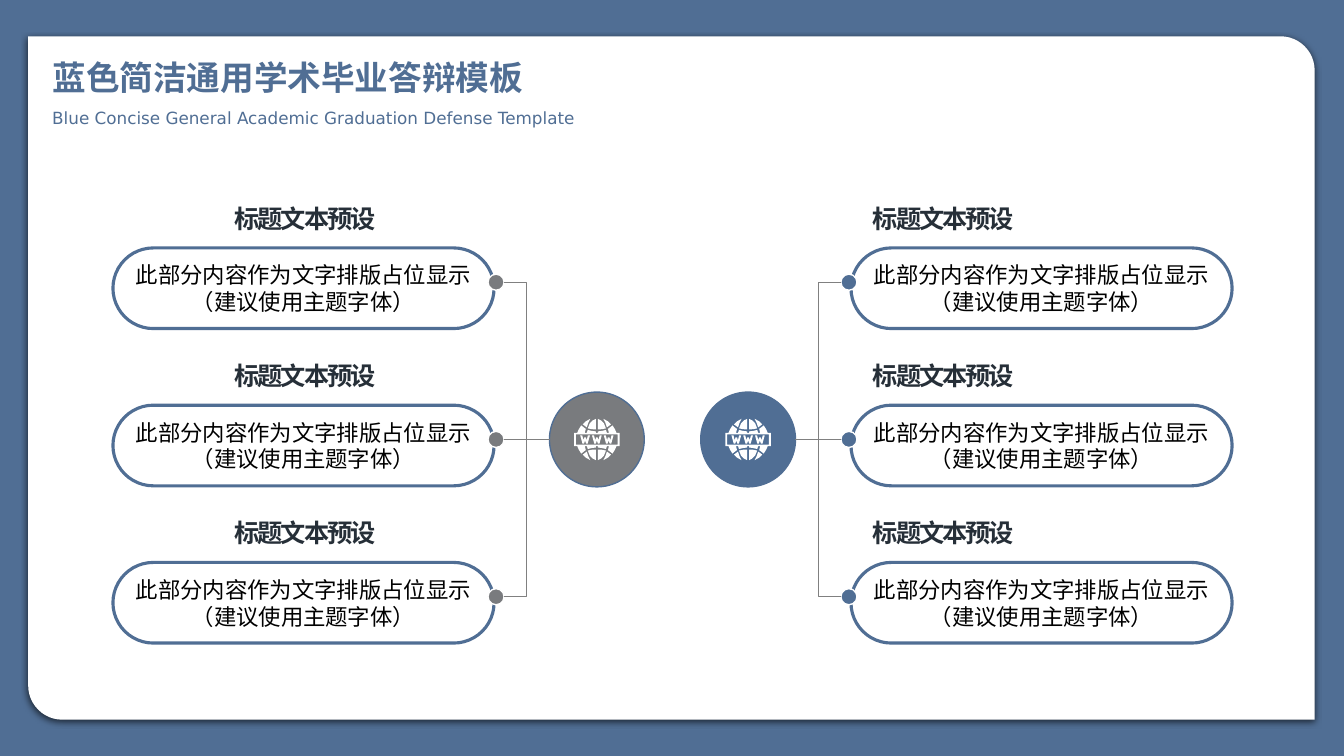
"""Build a slide with two hubs, each linked to three captioned pills."""
from dataclasses import dataclass
from typing import Any

from lxml.etree import SubElement
from pptx import Presentation
from pptx.dml.color import RGBColor
from pptx.enum.shapes import MSO_CONNECTOR as Link, MSO_SHAPE as Preset
from pptx.enum.text import MSO_ANCHOR as Anchor, MSO_AUTO_SIZE as AutoSize, PP_ALIGN as Align
from pptx.oxml.ns import qn
from pptx.util import Inches, Pt


@dataclass(frozen=True)
class Theme:
    """Colours, font and type sizes."""
    blue: str = "506E94"
    gray: str = "797B7E"
    wire: str = "808080"
    white: str = "FFFFFF"
    black: str = "000000"
    ink: str = "262F38"
    font: str = "DejaVu Sans"
    title: int = 24
    heading: int = 18
    body: int = 16
    subtitle: int = 12


@dataclass(frozen=True)
class Side:
    """One half of the diagram, mirrored about the axis."""
    direction: int
    color: str

    def x(self, offset: float) -> float:
        """Return the position at a distance from the axis."""
        return AXIS + self.direction * offset

    def left(self, offset: float, width: float) -> float:
        """Return the left edge of a box that starts at a distance from the axis."""
        return self.x(offset) - (width if self.direction < 0 else 0)


@dataclass(frozen=True)
class Box:
    """A rectangle in inches."""
    left: float
    top: float
    width: float
    height: float

    def lengths(self) -> list:
        """Return the four measures as lengths."""
        return [Inches(value) for value in (self.left, self.top, self.width, self.height)]


THEME = Theme()
AXIS, HUB_Y, ROW_GAP = 6.67, 4.36, 1.56
HUB_OFFSET, HUB_SIZE = 0.75, 0.94
DOT_OFFSET, DOT_SIZE = 1.75, 0.16
SIDES = (Side(1, THEME.blue), Side(-1, THEME.gray))
ROWS = [HUB_Y + step * ROW_GAP for step in (-1, 0, 1)]
HEADING = "标题文本预设"
BODY = ("此部分内容作为文字排版占位显示", "（建议使用主题字体）")
GLOBE_QUARTER = (
    ((1, 10), (5, 10.2), (9, 11), (7, 16), (4, 19), (1, 20.5)),
    ((10, 12), (14, 15), (11, 18), (6.5, 20.5), (8.5, 16.5)),
    ((1, 6.5), (10, 6.5), (9, 9.5), (5, 8.5), (1, 8)),
    ((12, 6.5), (19.5, 6.5), (18, 10), (15.5, 14), (11, 10.5)),
)
LETTER_HALF = ((0.8, -2), (1.6, 0.8), (2.8, -4), (4.8, -4), (2.6, 4), (1, 4), (0, 1))
LETTER_CENTERS = (-11.7, 0, 11.7)


def apply(target: Any, formats: dict[str, Any]) -> None:
    """Set each format value on the target."""
    for name, value in formats.items():
        setattr(target, name, value)


def rgb(color: str) -> RGBColor:
    """Return a colour object."""
    return RGBColor.from_string(color)


def write(shape: Any, lines: tuple[str, ...], size: int, color: str, bold: bool = False,
          frame: dict[str, Any] | None = None, paragraphs: dict[str, Any] | None = None) -> None:
    """Fill a shape with formatted lines."""
    text_frame = shape.text_frame
    apply(text_frame, {"word_wrap": True, "auto_size": AutoSize.NONE} | (frame or {}))
    text_frame.text = "\n".join(lines)
    for paragraph in text_frame.paragraphs:
        apply(paragraph, {"alignment": Align.LEFT} | (paragraphs or {}))
        for run in paragraph.runs:
            apply(run.font, {"name": THEME.font, "size": Pt(size), "bold": bold})
            run.font.color.rgb = rgb(color)


def draw_shape(shapes: Any, preset: Any, box: Box, fill: str,
               line: str | None = None, weight: float = 1) -> Any:
    """Draw a preset shape with a flat fill."""
    shape = shapes.add_shape(preset, *box.lengths())
    shape.shadow.inherit = False
    shape.fill.solid()
    shape.fill.fore_color.rgb = rgb(fill)
    if line:
        shape.line.color.rgb = rgb(line)
        shape.line.width = Pt(weight)
    else:
        shape.line.fill.background()
    return shape


def draw_circle(shapes: Any, x: float, y: float, size: float, fill: str, line: str) -> None:
    """Draw a circle around a centre."""
    draw_shape(shapes, Preset.OVAL, Box(x - size / 2, y - size / 2, size, size), fill, line)


def draw_panel(slide: Any) -> None:
    """Draw the white panel with its shadow behind the title."""
    panel = draw_shape(slide.shapes, Preset.ROUND_2_DIAG_RECTANGLE,
                       Box(0.28, 0.36, 12.76, 6.78), THEME.white)
    panel.adjustments[0], panel.adjustments[1] = 0, 0.05
    effects = next(panel.element.iter(qn("a:effectLst")))
    shadow = SubElement(effects, qn("a:outerShdw"), blurRad=str(Pt(4.5)), dist=str(Pt(1.5)),
                        dir="5400000", algn="t", rotWithShape="0")
    color = SubElement(shadow, qn("a:srgbClr"), val=THEME.black)
    SubElement(color, qn("a:alpha"), val="63000")
    slide.shapes.title.element.addprevious(panel.element)


def draw_titles(slide: Any) -> None:
    """Write the title and its translation."""
    title = slide.shapes.title
    box = Box(0.42, 0.51, 5.66, 0.5)
    apply(title, dict(zip(("left", "top", "width", "height"), box.lengths())))
    write(title, ("蓝色简洁通用学术毕业答辩模板",), THEME.title, THEME.blue, True,
          {"vertical_anchor": Anchor.TOP})
    subtitle = slide.shapes.add_textbox(*Box(0.42, 1.02, 5.66, 0.3).lengths())
    write(subtitle, ("Blue Concise General Academic Graduation Defense Template",),
          THEME.subtitle, THEME.blue)


def draw_item(slide: Any, side: Side, y: float) -> None:
    """Draw a pill with its dot and heading as one group."""
    shapes = slide.shapes.add_group_shape().shapes
    pill = draw_shape(shapes, Preset.ROUNDED_RECTANGLE,
                      Box(side.left(1.77, 3.78), y - 0.34, 3.78, 0.8),
                      THEME.white, THEME.blue, 2.25)
    pill.adjustments[0] = 0.5
    write(pill, BODY, THEME.body, THEME.black,
          frame={"word_wrap": False, "vertical_anchor": Anchor.MIDDLE},
          paragraphs={"alignment": Align.CENTER})
    draw_circle(shapes, side.x(DOT_OFFSET), y, DOT_SIZE, side.color, THEME.white)
    heading = shapes.add_textbox(*Box(side.left(1.89, 2.55), y - 0.89, 2.55, 0.55).lengths())
    write(heading, (HEADING,), THEME.heading, THEME.ink, True,
          {"vertical_anchor": Anchor.MIDDLE}, {"line_spacing": 0.9})
    for properties in heading.element.iter(qn("a:rPr")):
        properties.set("spc", "-150")


def draw_wire(slide: Any, side: Side, y: float) -> None:
    """Link a dot to its hub."""
    kind = Link.STRAIGHT if y == HUB_Y else Link.ELBOW
    start, end = side.x(DOT_OFFSET - DOT_SIZE / 2), side.x(HUB_OFFSET + HUB_SIZE / 2)
    wire = slide.shapes.add_connector(kind, Inches(start), Inches(y), Inches(end), Inches(HUB_Y))
    wire.line.color.rgb = rgb(THEME.wire)
    wire.line.width = Pt(0.5)
    SubElement(wire.element.spPr, qn("a:effectLst"))


def globe_contours() -> list[list[tuple[float, float]]]:
    """Return the globe, banner and letters in hundredths of an inch."""
    contours = [[(x * across, y * down) for x, y in piece]
                for piece in GLOBE_QUARTER for across in (1, -1) for down in (1, -1)]
    for x, y in ((22.5, 6.5), (20.7, 5)):
        contours.append([(-x, -y), (x, -y), (x, y), (-x, y)])
    letter = [*LETTER_HALF, *((-x, y) for x, y in LETTER_HALF[-2::-1])]
    contours += [[(center + x, y) for x, y in letter] for center in LETTER_CENTERS]
    return contours


def draw_globe(slide: Any, x: float, y: float) -> None:
    """Draw the web globe around a centre."""
    first, *others = [[(px * 10, py * 10) for px, py in contour] for contour in globe_contours()]
    builder = slide.shapes.build_freeform(*first[0], scale=Inches(1) / 1000)
    builder.add_line_segments(first[1:], close=True)
    for contour in others:
        builder.move_to(*contour[0])
        builder.add_line_segments(contour[1:], close=True)
    globe = builder.convert_to_shape(Inches(x), Inches(y))
    globe.shadow.inherit = False
    globe.fill.solid()
    globe.fill.fore_color.rgb = rgb(THEME.white)
    globe.line.fill.background()


def main() -> None:
    """Build and save the slide."""
    presentation = Presentation()
    apply(presentation, {"slide_width": Inches(13.33), "slide_height": Inches(7.5)})
    slide = presentation.slides.add_slide(presentation.slide_layouts[5])
    slide.background.fill.solid()
    slide.background.fill.fore_color.rgb = rgb(THEME.blue)
    draw_panel(slide)
    draw_titles(slide)
    for side in SIDES:
        hub_x = side.x(HUB_OFFSET)
        draw_circle(slide.shapes, hub_x, HUB_Y, HUB_SIZE, side.color, THEME.blue)
        for draw in (draw_item, draw_wire):
            for y in ROWS:
                draw(slide, side, y)
        draw_globe(slide, hub_x, HUB_Y)
    presentation.save("out.pptx")


if __name__ == "__main__":
    main()
